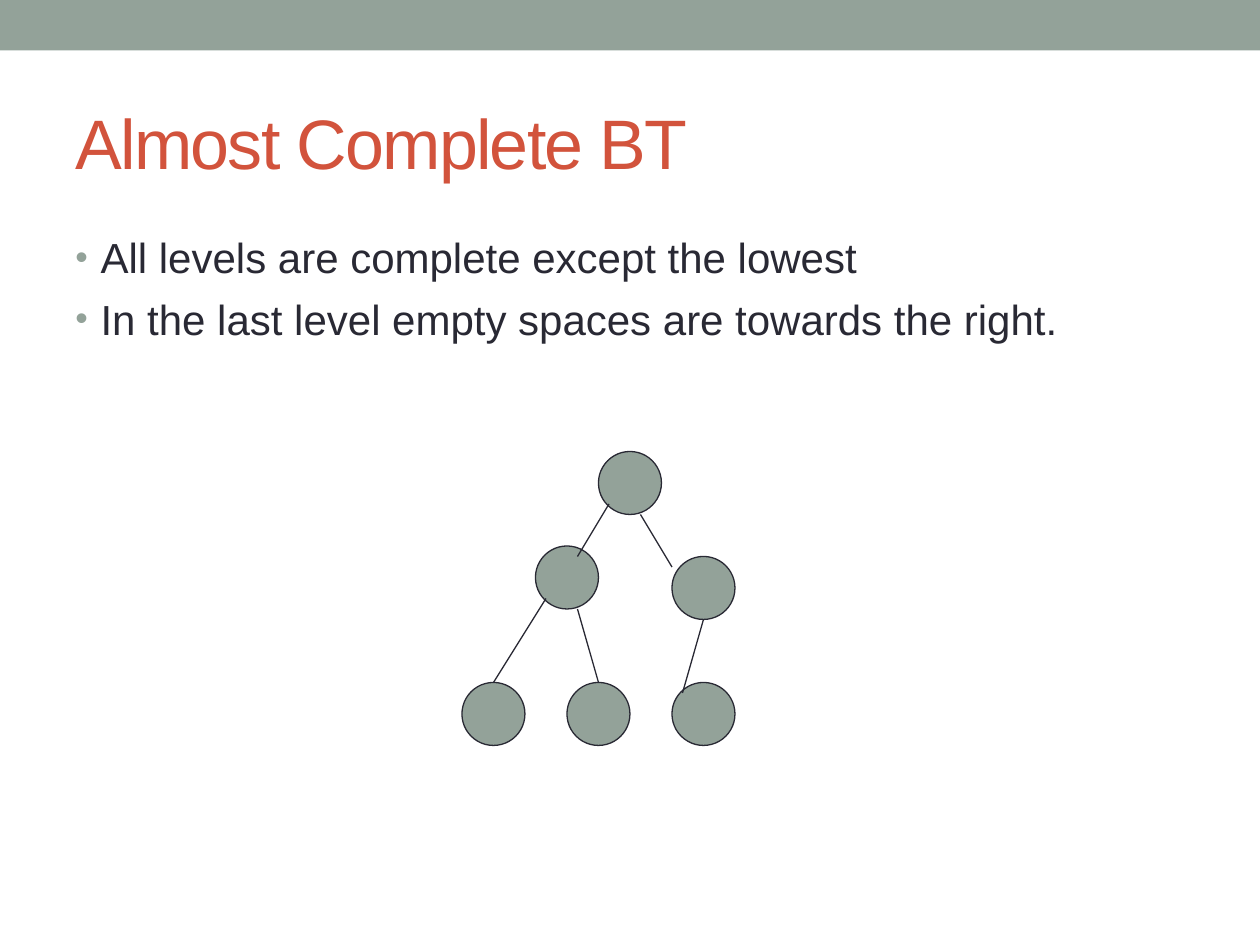
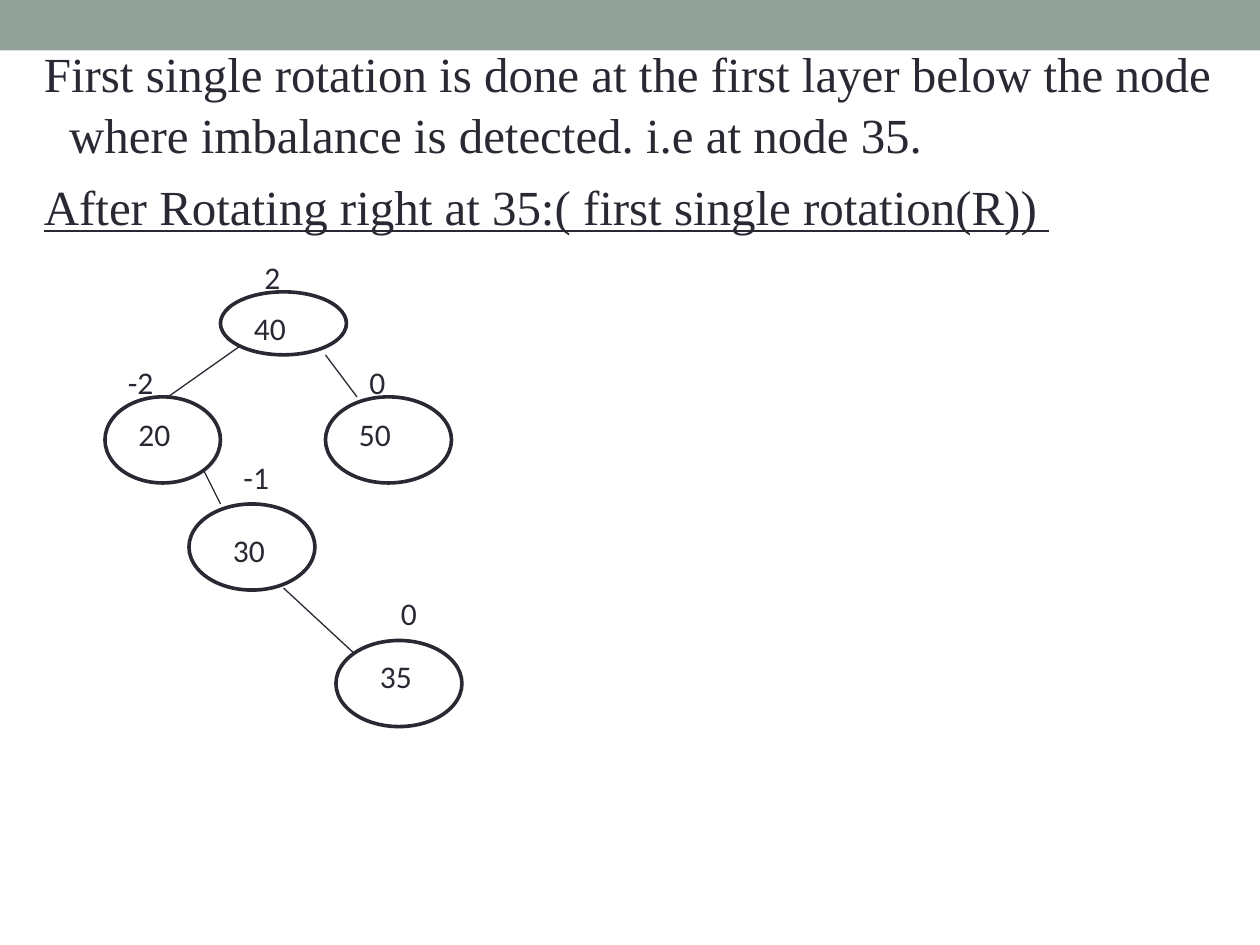
import dataclasses
import typing

import lxml.etree
import pptx
import pptx.dml.color
import pptx.enum.shapes
import pptx.enum.text
import pptx.oxml.ns
import pptx.shapes.autoshape
import pptx.slide
import pptx.text.text
import pptx.util

COLS, ROWS = 120, 90
WIDE, HIGH = pptx.util.Inches(10), pptx.util.Inches(7.5)


@dataclasses.dataclass(frozen=True)
class Theme:
    sage: str = "93A299"
    rust: str = "D2533C"
    ink: str = "292934"
    white: str = "FFFFFF"
    sans: str = "Arial"
    serif: str = "Times New Roman"
    label: str = "Calibri"
    head: float = 40
    body: float = 24
    large: float = 28
    small: float = 18
    thin: float = 0.75
    thick: float = 2.08
    lead: float = 1.05
    gap: float = 0.2


class Box(typing.NamedTuple):
    col: float
    row: float
    wide: float
    high: float


class Edge(typing.NamedTuple):
    col: float
    row: float
    to_col: float
    to_row: float


class Tag(typing.NamedTuple):
    text: str
    col: float
    row: float
    wide: float


THEME = Theme()
BAND = Box(0, 0, COLS, 4.8)
TITLE = Box(6, 7, 108, 13)
POINTS = Box(6, 21, 108, 64)
NOTES = Box(3, 3, 114, 85)
TAG_ROWS = 4.8

FULL_SIZE = 6
FULL_NODES = [
    Box(col, row, FULL_SIZE, FULL_SIZE)
    for col, row in [(57, 43), (64, 53), (51, 52), (44, 65), (54, 65), (64, 65)]
]
FULL_EDGES = [
    Edge(58, 48, 55, 53),
    Edge(61, 49, 64, 54),
    Edge(52, 57, 47, 65),
    Edge(55, 58, 57, 65),
    Edge(67, 59, 65, 66),
]

TURN_NODES = [
    Box(10, 37.8, 11, 8.2),
    Box(21, 27.8, 12, 6),
    Box(31, 37.8, 12, 8.2),
    Box(32, 61, 12, 8.2),
    Box(18, 48, 12, 8.2),
]
TURN_EDGES = [
    Edge(16, 37.8, 22.8, 33),
    Edge(31, 33.8, 34, 37.8),
    Edge(21, 48, 19.4, 44.8),
    Edge(33.7, 62.2, 27, 56),
]
TURN_TAGS = [
    Tag("20", 12, 38.9, 8),
    Tag("40", 23, 28.8, 8),
    Tag("50", 33, 38.9, 7),
    Tag("35", 35, 62, 7),
    Tag("30", 21, 50, 7),
    Tag("-2", 11, 34, 5),
    Tag("2", 24, 24, 5),
    Tag("0", 34, 34, 5),
    Tag("-1", 22, 43, 7),
    Tag("0", 37, 56, 5),
]


def across(cols: float) -> int:
    return round(WIDE * cols / COLS)


def down(rows: float) -> int:
    return round(HIGH * rows / ROWS)


def place(box: Box) -> tuple[int, int, int, int]:
    return across(box.col), down(box.row), across(box.wide), down(box.high)


def paint(code: str) -> pptx.dml.color.RGBColor:
    return pptx.dml.color.RGBColor.from_string(code)


def add_mark(props: lxml.etree._Element) -> None:
    tag = pptx.oxml.ns.qn
    tint = lxml.etree.SubElement(props, tag("a:buClr"))
    lxml.etree.SubElement(tint, tag("a:srgbClr"), val=THEME.sage)
    lxml.etree.SubElement(props, tag("a:buSzPct"), val="85000")
    lxml.etree.SubElement(props, tag("a:buFont"), typeface=THEME.sans)
    lxml.etree.SubElement(props, tag("a:buChar"), char="•")


def write(
    frame: pptx.text.text.TextFrame,
    text: str,
    *,
    font: str,
    size: float,
    color: str = THEME.ink,
    first: bool = True,
    hang: bool = False,
    mark: bool = False,
    under: bool = False,
    track: float = 0,
) -> None:
    para = frame.paragraphs[0] if first else frame.add_paragraph()
    para.alignment = pptx.enum.text.PP_ALIGN.LEFT
    if hang:
        props = para._p.get_or_add_pPr()
        dent = pptx.util.Inches(0.2)
        props.set("marL", str(dent))
        props.set("indent", str(-dent))
        para.line_spacing = THEME.lead
        if not first:
            para.space_before = pptx.util.Pt(size * THEME.gap)
        if mark:
            add_mark(props)
    run = para.add_run()
    run.text = text
    run.font.name = font
    run.font.size = pptx.util.Pt(size)
    run.font.color.rgb = paint(color)
    if under:
        run.font.underline = True
    if track:
        run._r.get_or_add_rPr().set("spc", str(round(track * 100)))


def add_text(slide: pptx.slide.Slide, box: Box) -> pptx.text.text.TextFrame:
    frame = slide.shapes.add_textbox(*place(box)).text_frame
    frame.word_wrap = True
    return frame


def add_lines(slide: pptx.slide.Slide, box: Box, lines: list[str], **form: typing.Any) -> None:
    frame = add_text(slide, box)
    frame.margin_top = pptx.util.Inches(0.07)
    for rank, line in enumerate(lines):
        write(frame, line, first=rank == 0, hang=True, **form)


def add_form(
    slide: pptx.slide.Slide,
    kind: pptx.enum.shapes.MSO_SHAPE,
    box: Box,
    fill: str,
    width: float = 0,
) -> None:
    shape = slide.shapes.add_shape(kind, *place(box))
    shape.shadow.inherit = False
    shape.fill.solid()
    shape.fill.fore_color.rgb = paint(fill)
    if width:
        shape.line.color.rgb = paint(THEME.ink)
        shape.line.width = pptx.util.Pt(width)
    else:
        shape.line.fill.background()


def add_edge(slide: pptx.slide.Slide, edge: Edge) -> None:
    line = slide.shapes.add_connector(
        pptx.enum.shapes.MSO_CONNECTOR.STRAIGHT,
        across(edge.col), down(edge.row), across(edge.to_col), down(edge.to_row),
    )
    line.line.color.rgb = paint(THEME.ink)
    line.line.width = pptx.util.Pt(THEME.thin)
    lxml.etree.SubElement(line._element.spPr, pptx.oxml.ns.qn("a:effectLst"))


def add_tree(
    slide: pptx.slide.Slide, nodes: list[Box], edges: list[Edge], fill: str, width: float
) -> None:
    for node in nodes:
        add_form(slide, pptx.enum.shapes.MSO_SHAPE.OVAL, node, fill, width)
    for edge in edges:
        add_edge(slide, edge)


def add_page(deck: pptx.presentation.Presentation, title: str = "") -> pptx.slide.Slide:
    name = "Title Only" if title else "Blank"
    slide = deck.slides.add_slide(deck.slide_layouts.get_by_name(name))
    add_form(slide, pptx.enum.shapes.MSO_SHAPE.RECTANGLE, BAND, THEME.sage)
    if title:
        head = slide.shapes.title
        head.left, head.top, head.width, head.height = place(TITLE)
        frame = head.text_frame
        frame.word_wrap = True
        frame.auto_size = pptx.enum.text.MSO_AUTO_SIZE.NONE
        frame.vertical_anchor = pptx.enum.text.MSO_ANCHOR.MIDDLE
        write(frame, title, font=THEME.sans, size=THEME.head, color=THEME.rust, track=-1)
    return slide


def draw_full(deck: pptx.presentation.Presentation) -> None:
    slide = add_page(deck, "Almost Complete BT")
    lines = [
        "All levels are complete except the lowest",
        "In the last level empty spaces are towards the right.",
    ]
    add_lines(slide, POINTS, lines, font=THEME.sans, size=THEME.body, mark=True)
    add_tree(slide, FULL_NODES, FULL_EDGES, THEME.sage, THEME.thin)


def draw_turn(deck: pptx.presentation.Presentation) -> None:
    slide = add_page(deck)
    frame = add_text(slide, NOTES)
    frame.margin_top = pptx.util.Inches(0.07)
    form = {"font": THEME.serif, "size": THEME.large, "hang": True}
    write(
        frame,
        "First single rotation is done at the first layer below the node "
        "where imbalance is detected. i.e at node 35.",
        **form,
    )
    write(
        frame,
        "After Rotating right at 35:( first single rotation(R)) ",
        first=False, under=True, **form,
    )
    add_tree(slide, TURN_NODES, TURN_EDGES, THEME.white, THEME.thick)
    for tag in TURN_TAGS:
        label = add_text(slide, Box(tag.col, tag.row, tag.wide, TAG_ROWS))
        write(label, tag.text, font=THEME.label, size=THEME.small)


def main() -> None:
    deck = pptx.Presentation()
    deck.slide_width, deck.slide_height = WIDE, HIGH
    draw_full(deck)
    draw_turn(deck)
    deck.save("out.pptx")


if __name__ == "__main__":
    main()
